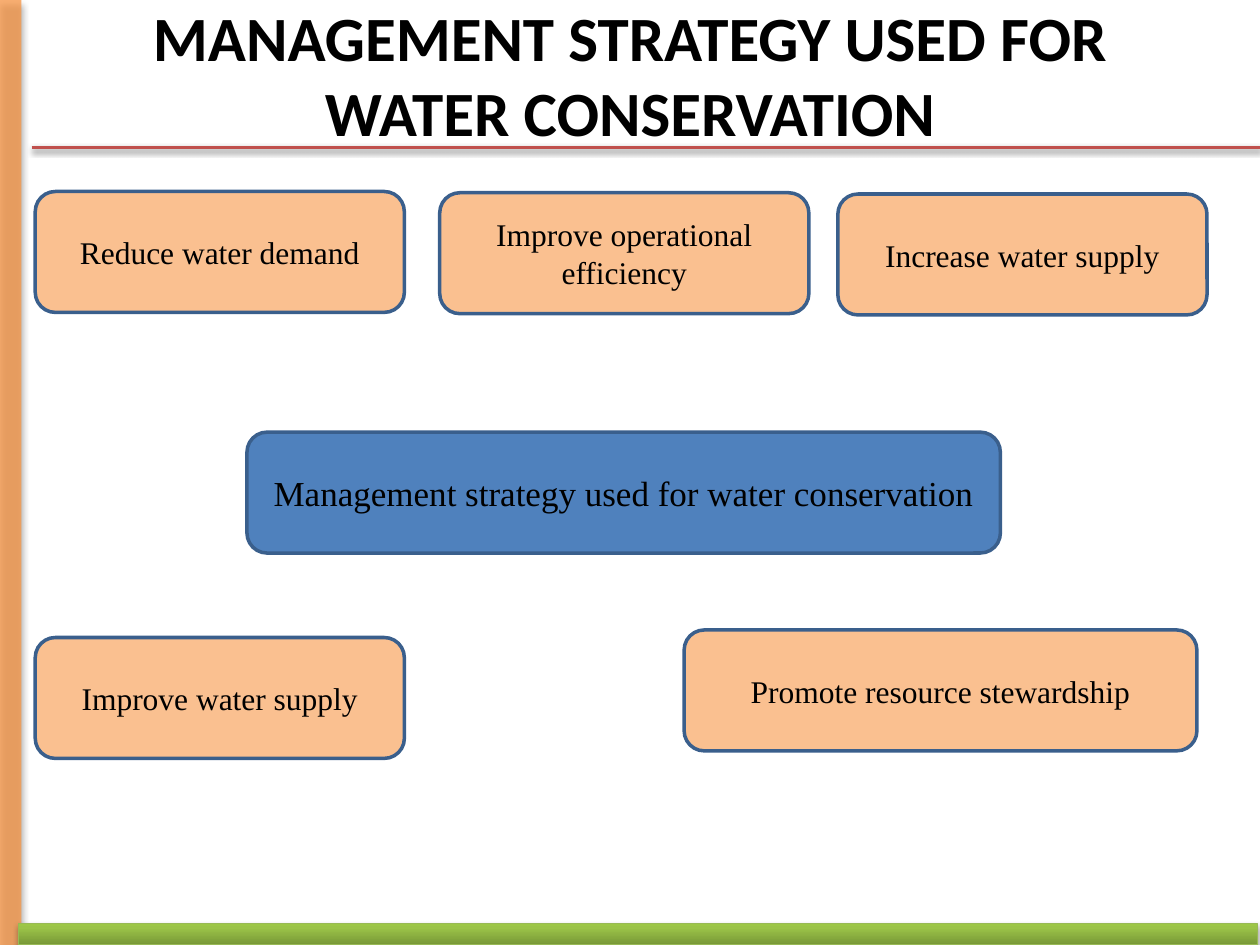
"""Build the water conservation strategy slide."""
from copy import deepcopy

from lxml import etree
from pptx import Presentation
from pptx import util as u
from pptx.dml.color import RGBColor
from pptx.enum import shapes, text
from pptx.oxml.ns import qn

THEME = {
    "ink": "000000", "outline": "3A5F8C", "strategy": "FAC090", "hub": "4F81BD",
    "side": "F79646", "rule": "C0504D", "base_line": "98B955",
    "base": [(0, "779737"), (80, "9BC348"), (100, "9DC746")],
    "title_font": "Calibri", "body_font": "Times New Roman",
    "title_size": 36, "hub_size": 20, "strategy_size": 18,
}
TITLE = "MANAGEMENT STRATEGY USED FOR WATER CONSERVATION"
HUB = ("Management strategy used for water conservation", 1.96, 3.43, 5.98)
STRATEGIES = [
    ("Reduce water demand", 0.28, 1.52, 2.93),
    ("Improve operational efficiency", 3.49, 1.53, 2.93),
    ("Increase water supply", 6.65, 1.54, 2.93),
    ("Improve water supply", 0.28, 5.06, 2.93),
    ("Promote resource stewardship", 5.43, 5, 4.07),
]
BOX_HEIGHT = 0.96


def colour(name):
    return RGBColor.from_string(THEME.get(name, name))


def add_shadow(part, opacity=0, blur=0, distance=0):
    effects = etree.SubElement(part._element.spPr, qn("a:effectLst"))
    if opacity:
        outer = etree.SubElement(effects, qn("a:outerShdw"), blurRad=str(u.Pt(blur)),
                                 dist=str(u.Pt(distance)), dir="5400000", rotWithShape="0")
        black = etree.SubElement(outer, qn("a:srgbClr"), val=THEME["ink"])
        etree.SubElement(black, qn("a:alpha"), val=str(opacity * 1000))


def add_block(slide, kind, place, fill=None, line=None, width=0):
    block = slide.shapes.add_shape(kind, *map(u.Inches, place))
    if fill:
        block.fill.solid()
        block.fill.fore_color.rgb = colour(fill)
    if line:
        block.line.color.rgb = colour(line)
        block.line.width = u.Pt(width)
    else:
        block.line.fill.background()
    return block


def write(part, words, font, size, bold=False):
    frame = part.text_frame
    frame.text = words
    frame.word_wrap = True
    frame.vertical_anchor = text.MSO_ANCHOR.MIDDLE
    paragraph = frame.paragraphs[0]
    paragraph.alignment = text.PP_ALIGN.CENTER
    values = {"name": THEME[font], "size": u.Pt(THEME[size]), "bold": bold}
    for key, value in values.items():
        setattr(paragraph.runs[0].font, key, value)
    paragraph.runs[0].font.color.rgb = colour("ink")


def add_frame(slide):
    rect = shapes.MSO_SHAPE.RECTANGLE
    side = add_block(slide, rect, (0, 0, 0.17, 7.5), "side")
    tint = side._element.spPr.find(".//" + qn("a:srgbClr"))
    etree.SubElement(tint, qn("a:alpha"), val="76000")
    add_shadow(side, 40, 4, 3)

    base = add_block(slide, rect, (0.15, 7.33, 9.83, 0.17), line="base_line", width=0.75)
    base.fill.gradient()
    base.fill.gradient_angle = 90
    stops = base._element.spPr.find(".//" + qn("a:gsLst"))
    stops.append(deepcopy(stops[-1]))
    for stop, (position, shade) in zip(base.fill.gradient_stops, THEME["base"]):
        stop.color.rgb = colour(shade)
        stop.position = position / 100
    add_shadow(base, 35, 3.1, 1.8)

    rule = slide.shapes.add_connector(shapes.MSO_CONNECTOR.STRAIGHT,
                                      *map(u.Inches, (0.25, 1.17, 10, 1.17)))
    rule.line.color.rgb = colour("rule")
    rule.line.width = u.Pt(2)
    add_shadow(rule, 38, 3.1, 1.6)


def add_box(slide, box, role):
    words, left, top, width = box
    part = add_block(slide, shapes.MSO_SHAPE.ROUNDED_RECTANGLE,
                     (left, top, width, BOX_HEIGHT), role, "outline", 2)
    add_shadow(part)
    write(part, words, "body_font", role + "_size")


def main():
    deck = Presentation()
    deck.slide_width, deck.slide_height = u.Inches(10), u.Inches(7.5)
    slide = deck.slides.add_slide(deck.slide_layouts[5])
    add_frame(slide)
    title = slide.shapes.title
    place = {"left": 0.5, "top": -0.04, "width": 9, "height": 1.25}
    for side, length in place.items():
        setattr(title, side, u.Inches(length))
    write(title, TITLE, "title_font", "title_size", bold=True)
    add_box(slide, HUB, "hub")
    for strategy in STRATEGIES:
        add_box(slide, strategy, "strategy")
    deck.save("out.pptx")


if __name__ == "__main__":
    main()
